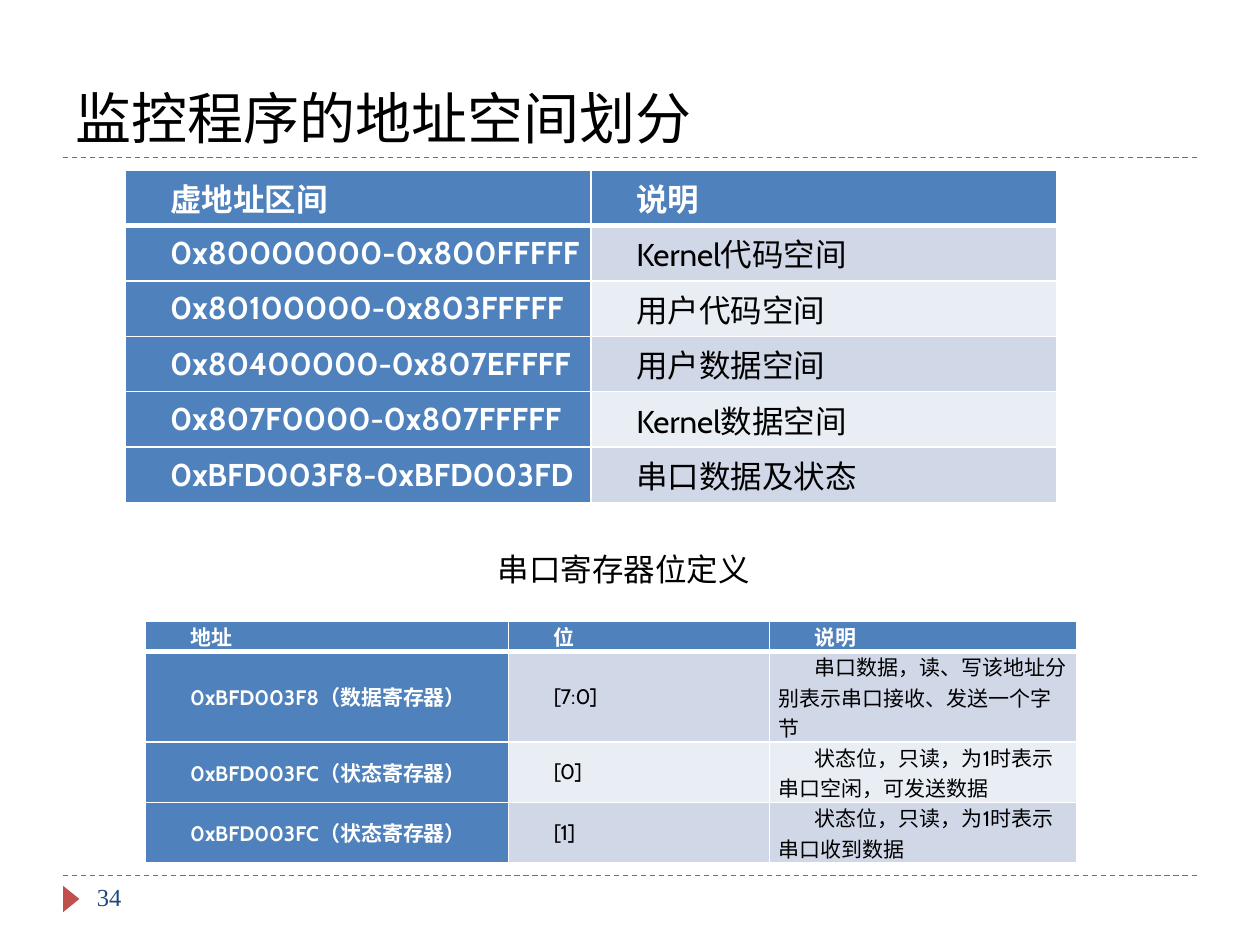
from dataclasses import dataclass

from lxml.etree import SubElement
from pptx import Presentation
from pptx.dml.color import RGBColor
from pptx.enum.dml import MSO_LINE
from pptx.enum.shapes import MSO_CONNECTOR, MSO_SHAPE
from pptx.enum.text import MSO_ANCHOR, MSO_AUTO_SIZE, PP_ALIGN
from pptx.oxml import parse_xml
from pptx.oxml.ns import nsdecls, qn
from pptx.util import Emu, Inches, Pt

# Content
TITLE = "监控程序的地址空间划分"
CAPTION = "串口寄存器位定义"
PAGE_NUMBER = "34"
ADDRESS_SPACE = [
    ("虚地址区间", "说明"),
    ("0x80000000-0x800FFFFF", "Kernel代码空间"),
    ("0x80100000-0x803FFFFF", "用户代码空间"),
    ("0x80400000-0x807EFFFF", "用户数据空间"),
    ("0x807F0000-0x807FFFFF", "Kernel数据空间"),
    ("0xBFD003F8-0xBFD003FD", "串口数据及状态"),
]
SERIAL_REGISTERS = [
    ("地址", "位", "说明"),
    ("0xBFD003F8（数据寄存器）", "[7:0]", "串口数据，读、写该地址分别表示串口接收、发送一个字节"),
    ("0xBFD003FC（状态寄存器）", "[0]", "状态位，只读，为1时表示串口空闲，可发送数据"),
    ("0xBFD003FC（状态寄存器）", "[1]", "状态位，只读，为1时表示串口收到数据"),
]


@dataclass(frozen=True)
class Theme:
    font: str = "Cabin"
    number_font: str = "Times New Roman"
    ink: str = "000000"
    paper: str = "FFFFFF"
    accent: str = "C0504D"
    number: str = "1F497D"
    header: str = "4F81BD"
    bands: tuple = ("D0D8E8", "E9EDF4")
    title_size: int = 32
    body_size: int = 18
    number_size: int = 14
    small_size: int = 12


THEME = Theme()

# Layout, in inches
WIDTH, HEIGHT = 10, 7.5
MARGIN = WIDTH * 0.05
CONTENT_WIDTH = WIDTH - 2 * MARGIN
TITLE_RULE, FOOTER_RULE = 1.25, 6.95
TABLE_WIDTH = 7.4
CELL_INSET, FIRST_LINE = 0.07, 0.29


def style_text(paragraph, size, color, bold=False, name=THEME.font):
    font = paragraph.font if not paragraph.runs else paragraph.runs[0].font
    font.name, font.size, font.bold = name, Pt(size), bold
    font.color.rgb = RGBColor.from_string(color)


def add_rule(slide, y):
    rule = slide.shapes.add_connector(
        MSO_CONNECTOR.STRAIGHT, Inches(MARGIN), Inches(y), Inches(WIDTH - MARGIN), Inches(y))
    rule.line.color.rgb = RGBColor.from_string(THEME.accent)
    rule.line.width = Pt(0.75)
    rule.line.dash_style = MSO_LINE.DASH
    SubElement(rule._element.spPr, qn("a:effectLst"))


def add_label(slide, text, box, size, color, name=THEME.font, wrap=True):
    frame = slide.shapes.add_textbox(*map(Inches, box)).text_frame
    frame.word_wrap = wrap
    frame.text = text
    style_text(frame.paragraphs[0], size, color, name=name)
    return frame


def set_borders(cell, is_header):
    widths = {"lnL": 1, "lnR": 1, "lnT": 1, "lnB": 3 if is_header else 1}
    properties = cell._tc.get_or_add_tcPr()
    for place, (side, points) in enumerate(widths.items()):
        properties.insert(place, parse_xml(
            f'<a:{side} {nsdecls("a")} w="{Pt(points)}"><a:solidFill>'
            f'<a:srgbClr val="{THEME.paper}"/></a:solidFill></a:{side}>'))


def fill_cell(cell, text, row, column, size, align):
    is_header = row == 0
    is_strong = is_header or column == 0
    cell.margin_left = cell.margin_right = Inches(CELL_INSET)
    cell.margin_top = cell.margin_bottom = Emu(0)
    cell.vertical_anchor = MSO_ANCHOR.MIDDLE
    cell.fill.solid()
    cell.fill.fore_color.rgb = RGBColor.from_string(
        THEME.header if is_strong else THEME.bands[(row - 1) % 2])
    set_borders(cell, is_header)
    cell.text = text
    paragraph = cell.text_frame.paragraphs[0]
    paragraph.alignment = align
    paragraph._p.get_or_add_pPr().set("indent", str(Inches(FIRST_LINE)))
    style_text(paragraph, size, THEME.paper if is_strong else THEME.ink, is_strong)


def add_grid(slide, rows, left, top, shares, heights, size, align):
    table = slide.shapes.add_table(
        len(rows), len(shares), Inches(left), Inches(top),
        Inches(TABLE_WIDTH), Inches(sum(heights))).table
    table.first_col, table.horz_banding = True, False
    for column, share in zip(table.columns, shares):
        column.width = Inches(TABLE_WIDTH * share)
    for table_row, height in zip(table.rows, heights):
        table_row.height = Inches(height)
    for r, row in enumerate(rows):
        for c, text in enumerate(row):
            fill_cell(table.cell(r, c), text, r, c, size, align)


def main():
    deck = Presentation()
    deck.slide_width, deck.slide_height = Inches(WIDTH), Inches(HEIGHT)
    slide = deck.slides.add_slide(deck.slide_layouts[5])

    # Title and rules
    title = slide.shapes.title
    title.left, title.top = Inches(MARGIN), Inches(0.17)
    title.width, title.height = Inches(CONTENT_WIDTH), Inches(TITLE_RULE - 0.17)
    frame = title.text_frame
    frame.text = TITLE
    frame.vertical_anchor = MSO_ANCHOR.BOTTOM
    frame.auto_size = MSO_AUTO_SIZE.NONE
    frame.paragraphs[0].alignment = PP_ALIGN.LEFT
    style_text(frame.paragraphs[0], THEME.title_size, THEME.ink)
    for y in (TITLE_RULE, FOOTER_RULE):
        add_rule(slide, y)

    # Address space
    add_grid(slide, ADDRESS_SPACE, 0.99, 1.35, (0.5, 0.5),
             [0.44] * len(ADDRESS_SPACE), THEME.body_size, PP_ALIGN.JUSTIFY)

    # Serial port registers
    caption = add_label(slide, CAPTION, (3.85, 4.32, 2.29, 0.4),
                        THEME.body_size, THEME.ink, wrap=False)
    caption.auto_size = MSO_AUTO_SIZE.SHAPE_TO_FIT_TEXT
    add_grid(slide, SERIAL_REGISTERS, 1.15, 4.93, (0.39, 0.28, 0.33),
             [0.24, 0.72, 0.48, 0.48], THEME.small_size, PP_ALIGN.LEFT)

    # Page marker
    marker = slide.shapes.add_shape(
        MSO_SHAPE.ISOSCELES_TRIANGLE, *map(Inches, (0.46, 7.07, 0.21, 0.13)))
    marker.rotation = 90
    marker.shadow.inherit = False
    marker.fill.solid()
    marker.fill.fore_color.rgb = RGBColor.from_string(THEME.accent)
    marker.line.fill.background()
    add_label(slide, PAGE_NUMBER, (0.67, FOOTER_RULE, 2.17, 0.4),
              THEME.number_size, THEME.number, THEME.number_font)

    deck.save("out.pptx")


if __name__ == "__main__":
    main()
